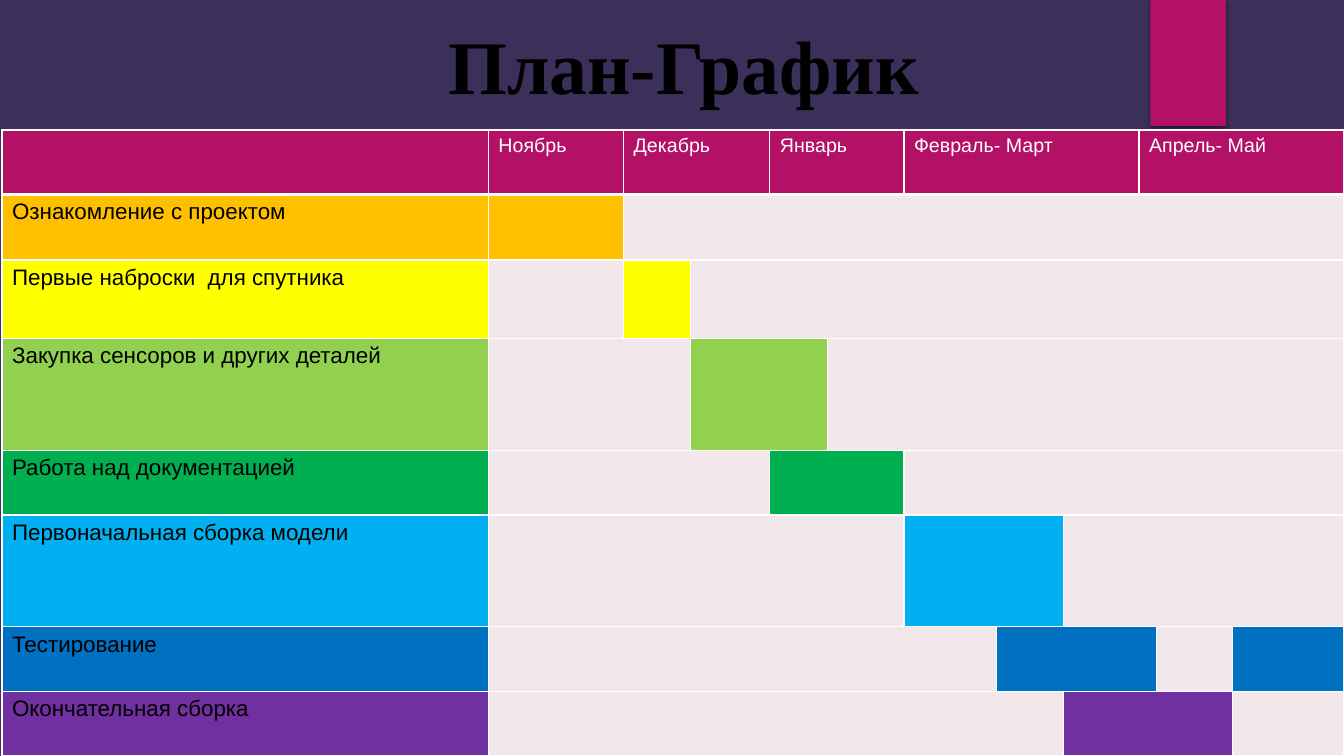
from dataclasses import dataclass

from lxml import etree
from pptx import Presentation
from pptx import util as u
from pptx.dml.color import RGBColor
from pptx.enum import shapes, text
from pptx.oxml import parse_xml
from pptx.oxml.ns import nsdecls, qn


@dataclass(frozen=True)
class Theme:
    background: str = "3B3059"
    accent: str = "B31166"
    free: str = "F2E7EA"
    ink: str = "000000"
    light: str = "FFFFFF"
    title_font: str = "Times New Roman"
    body_font: str = "Arial"
    title_size: int = 54
    head_size: int = 14
    task_size: int = 16
    border: int = 1
    head_border: int = 3


THEME = Theme()
WIDTH, HEIGHT = 13.33, 7.5

COLUMNS = [4.82, 1.34, 0.66, 0.79, 0.57, 0.76, 0.92, 0.66, 0.75, 0.17, 0.76, 1.1]
ROWS = [0.64, 0.65, 0.78, 1.11, 0.64, 1.11, 0.64, 0.64]

# Month name, first and last column
MONTHS = [("Ноябрь", 1, 1), ("Декабрь", 2, 3), ("Январь", 4, 5),
          ("Февраль- Март", 6, 8), ("Апрель- Май", 9, 11)]

# Task name, colour, bars as first and last column
TASKS = [
    ("Ознакомление с проектом", "FFC000", [(1, 1)]),
    ("Первые наброски  для спутника", "FFFF00", [(2, 2)]),
    ("Закупка сенсоров и других деталей", "92D050", [(3, 4)]),
    ("Работа над документацией", "00B050", [(4, 5)]),
    ("Первоначальная сборка модели", "00B0F0", [(6, 7)]),
    ("Тестирование", "0070C0", [(7, 9), (11, 11)]),
    ("Окончательная сборка", "7030A0", [(8, 10)]),
]


def place(shape, box):
    shape.left, shape.top, shape.width, shape.height = map(u.Inches, box)


def format_text(frame, font, size, color, bold=False):
    for para in frame.paragraphs:
        for span in para.runs:
            span.font.name, span.font.size, span.font.bold = font, u.Pt(size), bold
            span.font.color.rgb = RGBColor.from_string(color)


def add_ribbon(slide, box):
    """Accent tab with a soft shadow, behind the title."""
    ribbon = slide.shapes.add_shape(shapes.MSO_SHAPE.RECTANGLE, *map(u.Inches, box))
    ribbon.fill.solid()
    ribbon.fill.fore_color.rgb = RGBColor.from_string(THEME.accent)
    ribbon.line.fill.background()
    ribbon.element.spPr.append(parse_xml(
        f'<a:effectLst {nsdecls("a")}><a:outerShdw blurRad="{u.Pt(3)}" dist="{u.Pt(2)}" '
        f'dir="5400000" rotWithShape="0"><a:srgbClr val="{THEME.ink}">'
        '<a:alpha val="45000"/></a:srgbClr></a:outerShdw></a:effectLst>'))
    slide.shapes.title.element.addprevious(ribbon.element)


def add_title(slide, box):
    title = slide.shapes.title
    place(title, box)
    frame = title.text_frame
    frame.text = "План-График"
    frame.word_wrap = False
    frame.auto_size = text.MSO_AUTO_SIZE.SHAPE_TO_FIT_TEXT
    frame.vertical_anchor = text.MSO_ANCHOR.MIDDLE
    frame.paragraphs[0].alignment = text.PP_ALIGN.CENTER
    format_text(frame, THEME.title_font, THEME.title_size, THEME.ink, bold=True)


def set_borders(cell, bottom):
    properties = cell._tc.get_or_add_tcPr()
    widths = {"lnL": THEME.border, "lnR": THEME.border, "lnT": THEME.border, "lnB": bottom}
    for index, (side, width) in enumerate(widths.items()):
        line = etree.Element(qn(f"a:{side}"), w=str(u.Pt(width)))
        fill = etree.SubElement(line, qn("a:solidFill"))
        etree.SubElement(fill, qn("a:srgbClr"), val=THEME.light)
        properties.insert(index, line)


def fill_cells(table, row, first, last, color):
    """Paint and merge columns first to last of a row; return the merged cell."""
    for column in range(first, last + 1):
        cell = table.cell(row, column)
        cell.fill.solid()
        cell.fill.fore_color.rgb = RGBColor.from_string(color)
        set_borders(cell, THEME.border if row else THEME.head_border)
    start = table.cell(row, first)
    if last > first:
        start.merge(table.cell(row, last))
    return start


def add_task(table, row, name, color, bars):
    label = fill_cells(table, row, 0, 0, color)
    label.text_frame.text = name
    format_text(label.text_frame, THEME.body_font, THEME.task_size, THEME.ink)
    column = 1
    for first, last in bars:
        if column < first:
            fill_cells(table, row, column, first - 1, THEME.free)
        fill_cells(table, row, first, last, color)
        column = last + 1
    if column < len(COLUMNS):
        fill_cells(table, row, column, len(COLUMNS) - 1, THEME.free)


def add_schedule(slide, box):
    """Gantt table whose columns and rows share out the box."""
    table = slide.shapes.add_table(len(ROWS), len(COLUMNS), *map(u.Inches, box)).table
    for column, share in zip(table.columns, COLUMNS):
        column.width = u.Inches(box[2] * share / sum(COLUMNS))
    for row, share in zip(table.rows, ROWS):
        row.height = u.Inches(box[3] * share / sum(ROWS))
    fill_cells(table, 0, 0, 0, THEME.accent)
    for name, first, last in MONTHS:
        month = fill_cells(table, 0, first, last, THEME.accent)
        month.text_frame.text = name
        format_text(month.text_frame, THEME.body_font, THEME.head_size, THEME.light)
    for row, task in enumerate(TASKS, start=1):
        add_task(table, row, *task)


def add_plan_slide(deck):
    slide = deck.slides.add_slide(deck.slide_layouts.get_by_name("Title Only"))
    slide.background.fill.solid()
    slide.background.fill.fore_color.rgb = RGBColor.from_string(THEME.background)
    add_title(slide, (4.3, 0.13, 4.96, 1.01))
    add_ribbon(slide, (11.41, 0, 0.75, HEIGHT / 6))
    add_schedule(slide, (0.02, 1.29, WIDTH - 0.02, HEIGHT - 1.29))


def main():
    deck = Presentation()
    deck.slide_width, deck.slide_height = u.Inches(WIDTH), u.Inches(HEIGHT)
    add_plan_slide(deck)
    deck.save("out.pptx")


if __name__ == "__main__":
    main()
